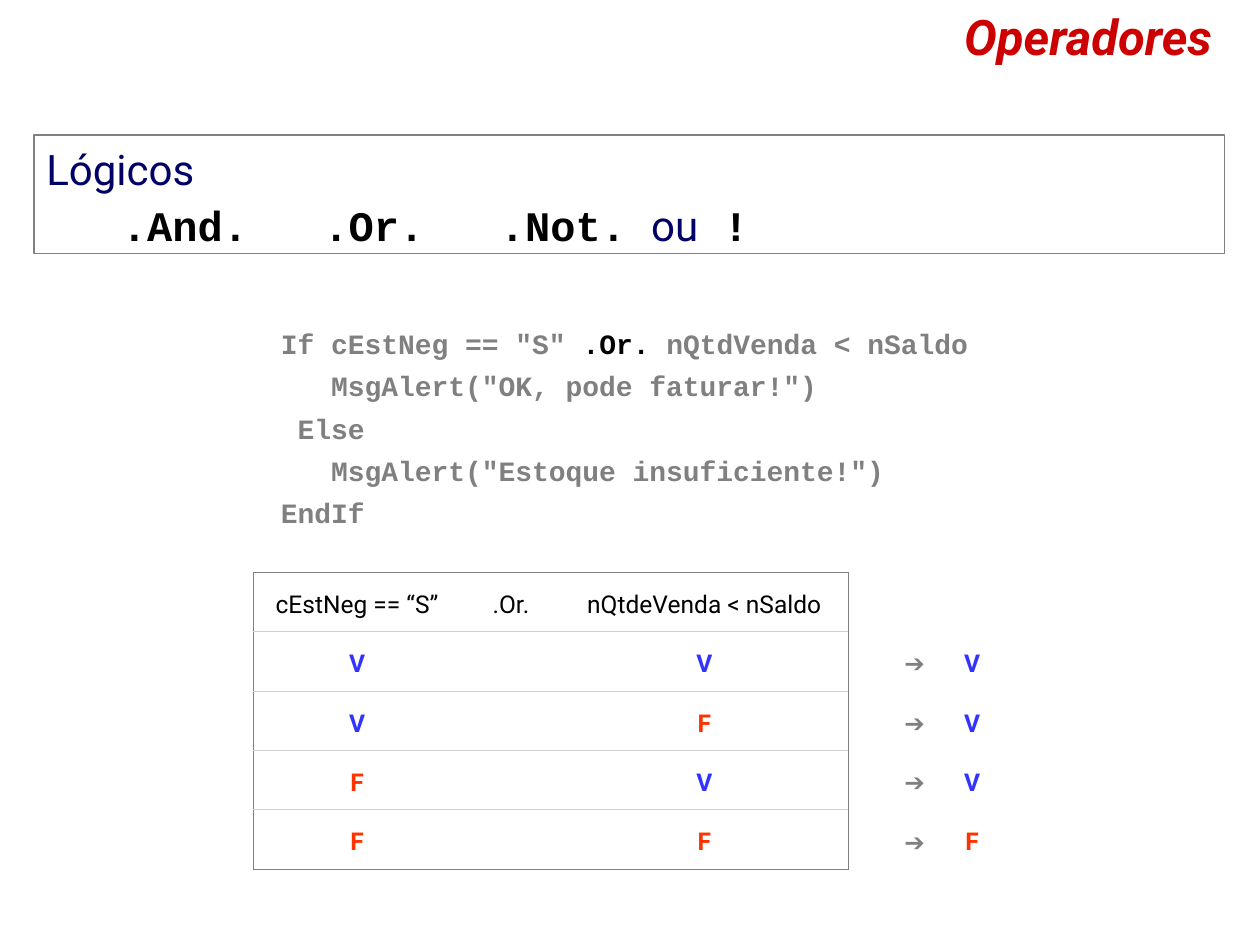
from lxml import etree
from pptx import Presentation
from pptx import util as u
from pptx.dml.color import RGBColor
from pptx.enum import shapes, text
from pptx.oxml.ns import qn

Pt = u.Pt

# Content
COLORS = {"white": "FFFFFF", "gray": "808080", "rule": "D0CECE", "navy": "000066",
          "black": "000000", "title": "CC0000", "true": "3333FF", "false": "FF3300"}
TITLE = "Operadores"
HEADING = "Lógicos"
OPERATORS = [("\t.And.\t.Or.\t.Not. ", "Courier New", "black", True),
             ("ou", "Roboto", "navy", False),
             (" !", "Courier New", "black", True)]
CODE = [
    [('If cEstNeg == "S" ', "gray"), (".Or.", "black"), (" nQtdVenda < nSaldo", "gray")],
    [('   MsgAlert("OK, pode faturar!")', "gray")],
    [(" Else", "gray")],
    [('   MsgAlert("Estoque insuficiente!")', "gray")],
    [("EndIf", "gray")],
]
TRUTH_TABLE = [
    ("cEstNeg == “S”", ".Or.", "nQtdeVenda < nSaldo", "", ""),
    ("V", "", "V", "➔", "V"),
    ("V", "", "F", "➔", "V"),
    ("F", "", "V", "➔", "V"),
    ("F", "", "F", "➔", "F"),
]
# Font, colour and weight of the special cell values; the rest is plain black
CELL_STYLES = {"V": ("Roboto", "true", True), "F": ("Roboto", "false", True),
               "➔": ("Arial", "gray", False)}

# Layout, in points
LEFT, WIDTH = 19.4, 680.4
COLUMNS = [118.8, 56.9, 164.2, 51.1, 39.6]
FRAMED = 3  # leading columns inside the table frame
ROW_HEIGHT = 34
OPERATOR_TABS = [43.2, 158.4, 259.2]


def add_span(para, words, font, size, color, bold=False, italic=False):
    span = para.add_run()
    span.text = words
    span.font.name = font
    span.font.size = Pt(size)
    span.font.bold = bold
    span.font.italic = italic
    span.font.color.rgb = RGBColor.from_string(COLORS[color])


def set_tabs(para, stops):
    tabs = etree.SubElement(para._p.get_or_add_pPr(), qn("a:tabLst"))
    for stop in stops:
        etree.SubElement(tabs, qn("a:tab"), pos=str(Pt(stop)), algn="l")


def set_border(cell, side, color):
    line = etree.SubElement(cell._tc.get_or_add_tcPr(), qn("a:" + side), w=str(Pt(0.45)))
    if color is None:
        etree.SubElement(line, qn("a:noFill"))
    else:
        fill = etree.SubElement(line, qn("a:solidFill"))
        etree.SubElement(fill, qn("a:srgbClr"), val=COLORS[color])


deck = Presentation()
deck.slide_width, deck.slide_height = Pt(720), Pt(540)
page = deck.slides.add_slide(deck.slide_layouts[5])

# Title
title = page.shapes.title
title.left, title.top, title.width, title.height = Pt(LEFT), Pt(0), Pt(WIDTH), Pt(41)
title.text_frame.vertical_anchor = text.MSO_ANCHOR.TOP
title.text_frame.auto_size = text.MSO_AUTO_SIZE.NONE
para = title.text_frame.paragraphs[0]
para.alignment = text.PP_ALIGN.RIGHT
add_span(para, TITLE, "Roboto", 28, "title", bold=True, italic=True)

# Operator panel
panel = page.shapes.add_shape(shapes.MSO_SHAPE.RECTANGLE, Pt(LEFT), Pt(77.2), Pt(WIDTH), Pt(67.7))
panel.shadow.inherit = False
panel.fill.solid()
panel.fill.fore_color.rgb = RGBColor.from_string(COLORS["white"])
panel.line.color.rgb = RGBColor.from_string(COLORS["gray"])
panel.line.width = Pt(0.75)
panel.text_frame.vertical_anchor = text.MSO_ANCHOR.MIDDLE
para = panel.text_frame.paragraphs[0]
para.alignment = text.PP_ALIGN.LEFT
para.line_spacing = 1.1
set_tabs(para, OPERATOR_TABS)
add_span(para, HEADING, "Roboto", 24, "navy")
para.add_line_break()
for words, font, color, bold in OPERATORS:
    add_span(para, words, font, 24, color, bold)

# Code sample
box = page.shapes.add_textbox(Pt(153.4), Pt(183), Pt(414), Pt(118))
box.text_frame.word_wrap = True
for number, line in enumerate(CODE):
    para = box.text_frame.add_paragraph() if number else box.text_frame.paragraphs[0]
    para.space_before = Pt(5 if number else 0)
    for words, color in line:
        add_span(para, words, "Courier New", 16, color, bold=True)

# Truth table
frame = page.shapes.add_table(len(TRUTH_TABLE), len(COLUMNS), Pt(144.7), Pt(326.8),
                              Pt(sum(COLUMNS)), Pt(ROW_HEIGHT * len(TRUTH_TABLE)))
table = frame.table
table.first_row = table.horz_banding = False
for column, width in zip(table.columns, COLUMNS):
    column.width = Pt(width)
last = len(TRUTH_TABLE) - 1
for r, values in enumerate(TRUTH_TABLE):
    table.rows[r].height = Pt(ROW_HEIGHT)
    for c, value in enumerate(values):
        cell = table.cell(r, c)
        cell.vertical_anchor = text.MSO_ANCHOR.MIDDLE
        cell.margin_top, cell.margin_bottom = Pt(7.1), Pt(3.6)
        inside = c < FRAMED
        set_border(cell, "lnL", "gray" if c in (0, FRAMED) else None)
        set_border(cell, "lnR", "gray" if c == FRAMED - 1 else None)
        set_border(cell, "lnT", ("rule" if r else "gray") if inside else None)
        set_border(cell, "lnB", ("rule" if r < last else "gray") if inside else None)
        cell.fill.background()
        para = cell.text_frame.paragraphs[0]
        para.alignment = text.PP_ALIGN.RIGHT if value == "➔" else text.PP_ALIGN.CENTER
        if value:
            font, color, bold = CELL_STYLES.get(value, ("Roboto", "black", False))
            add_span(para, value, font, 14, color, bold)
        else:
            para.font.size = Pt(14)

deck.save("out.pptx")
